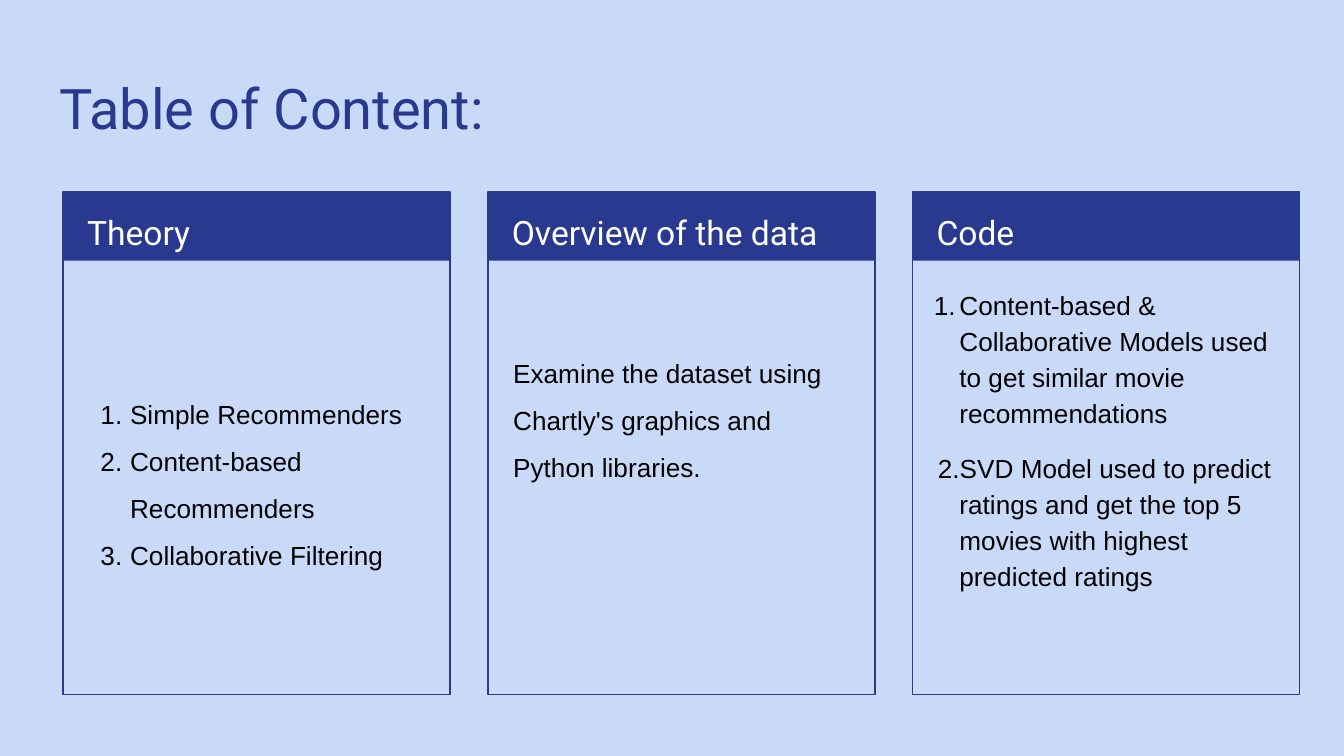
import pptx
import pptx.dml.color
import pptx.enum.shapes
import pptx.enum.text
import pptx.oxml.ns
import pptx.util
from lxml import etree


def color(value):
    return pptx.dml.color.RGBColor.from_string(value)


class Deck:
    navy = "2A3990"
    background = "C9DAF8"
    white = "FFFFFF"
    black = "000000"
    heading_font = "Roboto"
    body_font = "Arial"
    margin = 0.47
    pitch = 3.16
    card_width = 2.88
    card_top = 1.43

    def __init__(self):
        self.presentation = pptx.Presentation()
        self.presentation.slide_width = pptx.util.Inches(10)
        self.presentation.slide_height = self.presentation.slide_width * 9 // 16
        self.slide = self.presentation.slides.add_slide(self.presentation.slide_layouts[5])
        self.slide.background.fill.solid()
        self.slide.background.fill.fore_color.rgb = color(self.background)

    def box(self, column, top, height, inset=0):
        left = self.margin + column * self.pitch + inset
        return [pptx.util.Inches(length) for length in (left, top, self.card_width - 2 * inset, height)]

    def prepare(self, text_frame, anchor="TOP"):
        text_frame.word_wrap = True
        text_frame.auto_size = pptx.enum.text.MSO_AUTO_SIZE.NONE
        text_frame.vertical_anchor = pptx.enum.text.MSO_ANCHOR[anchor]
        for side in ("left", "top", "right", "bottom"):
            setattr(text_frame, f"margin_{side}", pptx.util.Inches(0.1))

    def format(self, paragraph, font, size, value, spacing):
        paragraph.alignment = pptx.enum.text.PP_ALIGN.LEFT
        paragraph.line_spacing = spacing
        for run in paragraph.runs:
            run.font.name = font
            run.font.size = pptx.util.Pt(size)
            run.font.color.rgb = color(value)

    def number(self, paragraph, margin, indent):
        properties = paragraph._p.get_or_add_pPr()
        properties.set("marL", str(pptx.util.Inches(margin)))
        properties.set("indent", str(pptx.util.Inches(indent)))
        etree.SubElement(properties, pptx.oxml.ns.qn("a:buAutoNum"), type="arabicPeriod")

    def title(self, text):
        title = self.slide.shapes.title
        title.left, title.top = pptx.util.Inches(0.34), pptx.util.Inches(0.45)
        title.width, title.height = pptx.util.Inches(9.32), pptx.util.Inches(0.66)
        title.text_frame.text = text
        self.prepare(title.text_frame)
        self.format(title.text_frame.paragraphs[0], self.heading_font, 30, self.navy, 1.0)

    def rectangle(self, column, height, filled):
        shape = self.slide.shapes.add_shape(
            pptx.enum.shapes.MSO_SHAPE.RECTANGLE, *self.box(column, self.card_top, height))
        shape.shadow.inherit = False
        if filled:
            shape.fill.solid()
            shape.fill.fore_color.rgb = color(self.navy)
            shape.line.fill.background()
        else:
            shape.fill.background()
            shape.line.color.rgb = color(self.navy)
            shape.line.width = pptx.util.Pt(0.75)

    def card(self, column, heading):
        self.rectangle(column, 0.51, True)
        self.rectangle(column, 3.74, False)
        text_box = self.slide.shapes.add_textbox(*self.box(column, self.card_top, 0.5, 0.08))
        text_box.text_frame.text = heading
        self.prepare(text_box.text_frame)
        self.format(text_box.text_frame.paragraphs[0], self.heading_font, 18, self.white, 1.15)

    def body(self, column, lines, top, height, inset=0.09, spacing=1.5,
             anchor="TOP", indents=(), gap=0):
        text_box = self.slide.shapes.add_textbox(*self.box(column, top, height, inset))
        text_box.text_frame.text = "\n".join(lines)
        self.prepare(text_box.text_frame, anchor)
        for index, paragraph in enumerate(text_box.text_frame.paragraphs):
            if indents:
                self.number(paragraph, *indents[index])
            self.format(paragraph, self.body_font, 14, self.black, spacing)
            if index:
                paragraph.space_before = pptx.util.Pt(gap)


def main():
    deck = Deck()
    deck.title("Table of Content:")
    for column, heading in enumerate(("Theory", "Overview of the data", "Code")):
        deck.card(column, heading)
    deck.body(0, ["Simple Recommenders", "Content-based Recommenders", "Collaborative Filtering"],
              2.02, 3.06, anchor="MIDDLE", indents=[(0.31, -0.22)] * 3)
    deck.body(1, ["Examine the dataset using Chartly's graphics and Python libraries."], 2.44, 2.6)
    deck.body(2, ["Content-based & Collaborative Models used to get similar movie recommendations",
                  "SVD Model used to predict ratings and get the top 5 movies with highest predicted ratings"],
              2.02, 2.98, inset=0, spacing=1.15, indents=[(0.25, -0.19), (0.25, -0.16)], gap=10)
    deck.presentation.save("out.pptx")


if __name__ == "__main__":
    main()
